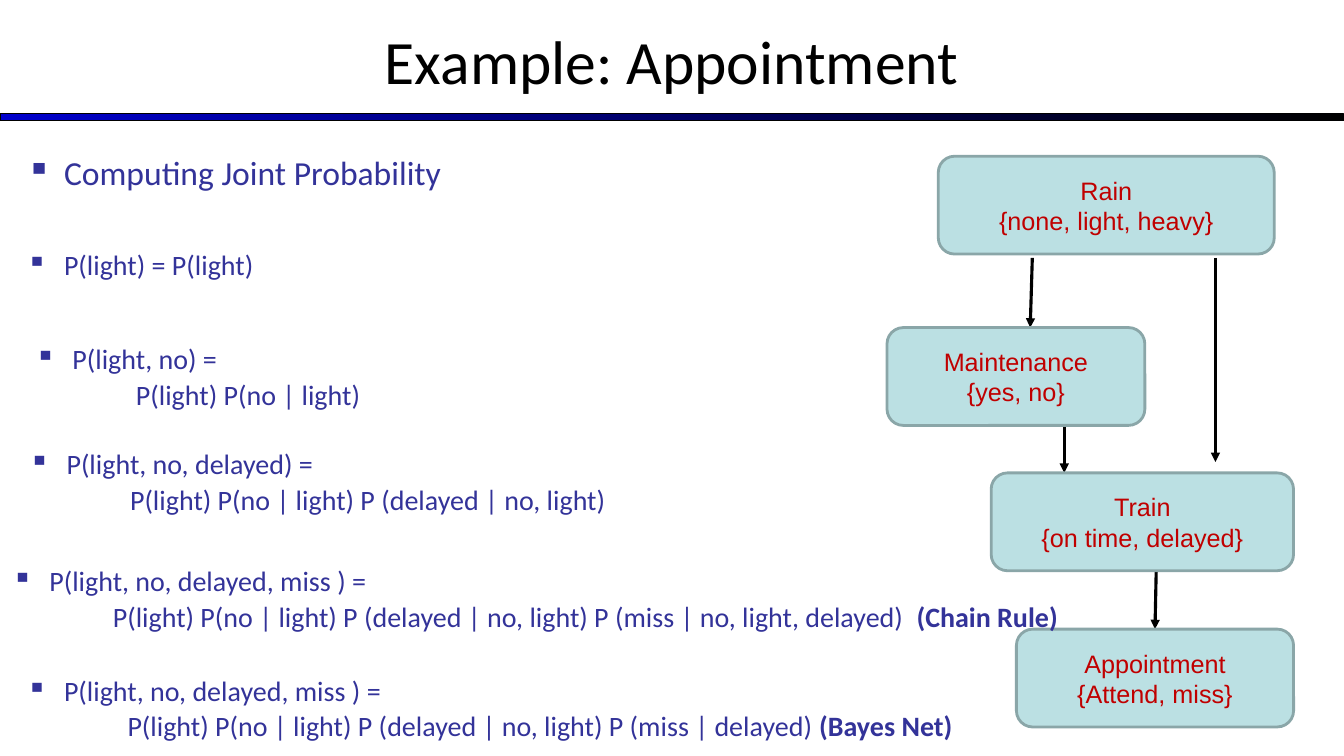
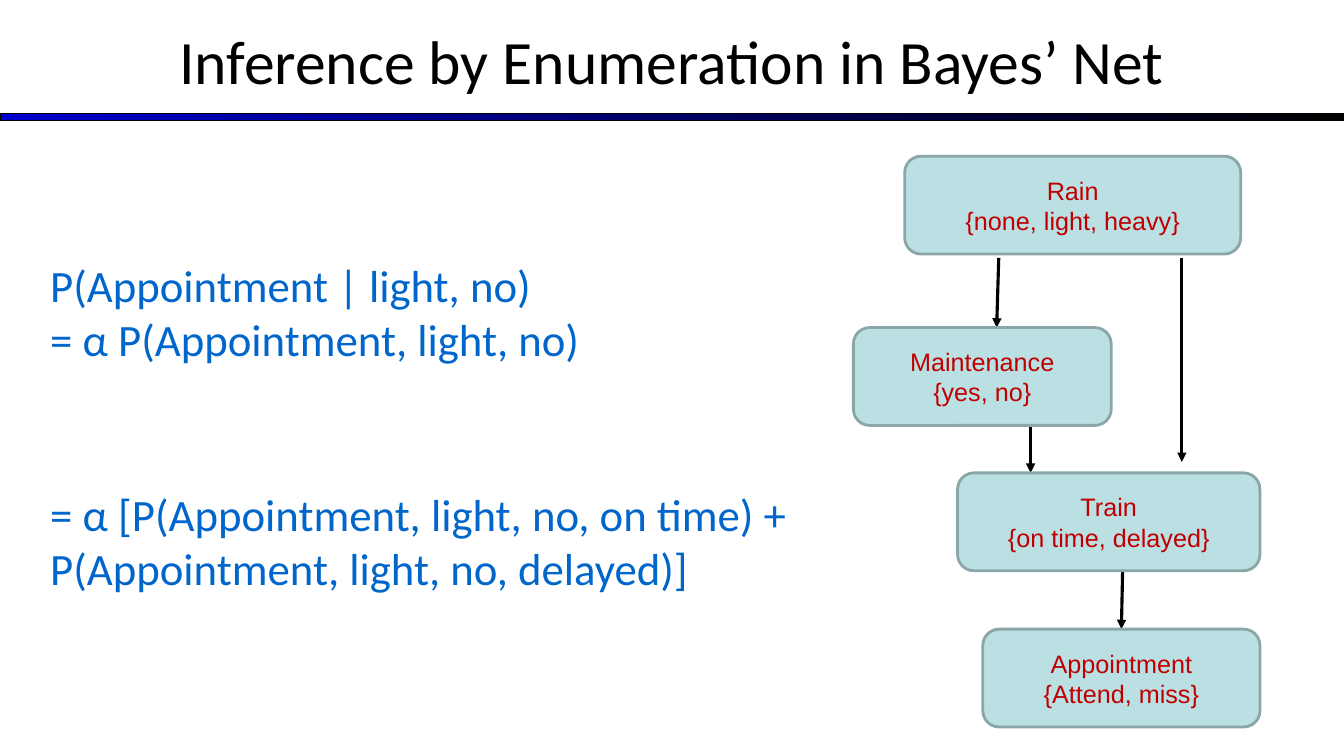
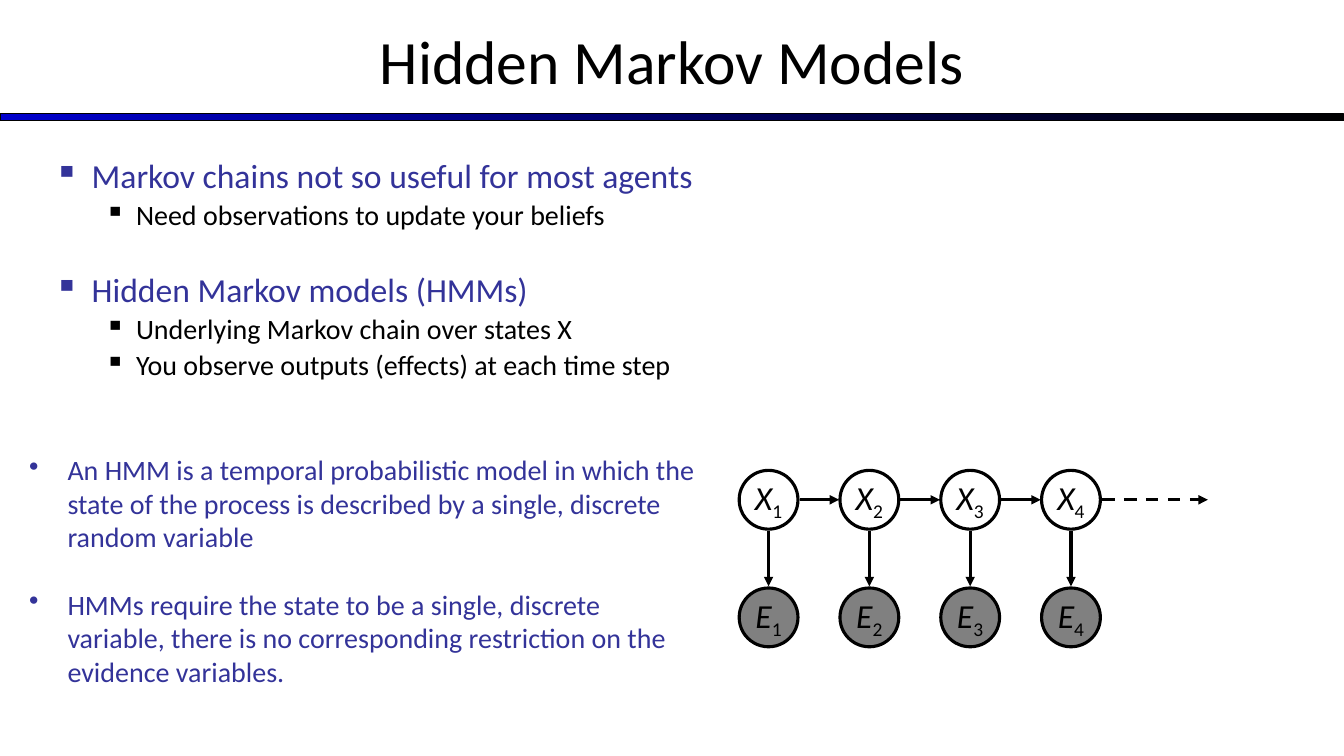
from lxml.etree import SubElement
from pptx import Presentation
from pptx.dml.color import RGBColor
from pptx.enum.dml import MSO_LINE
from pptx.enum.shapes import MSO_CONNECTOR, MSO_SHAPE
from pptx.enum.text import MSO_ANCHOR, PP_ALIGN
from pptx.oxml.ns import qn
from pptx.util import Inches, Pt

COLS, ROWS = 160, 90
CELL = Inches(1) / 12

HUE = {
    "black": "000000", "white": "FFFFFF", "grey": "808080",
    "band": "0000CC", "ink": "333399", "blue": "0066CC",
    "red": "C00000", "pale": "BBE0E3", "edge": "8AA6A8",
}
RGB = {name: RGBColor.from_string(code) for name, code in HUE.items()}

# font, size, colour, bullet, left and hanging indent in inches, line spacing, space before
STYLE = {
    "title": ("Calibri", 44, "black", None, 0, 0, 1, 0),
    "node": ("Arial", 18, "red", None, 0, 0, 1, 0),
    "state": ("Calibri", 24, "black", None, 0, 0, 1, 0),
    "head": ("Calibri", 24, "ink", "▪", 0.37, 0.37, 0.9, 5),
    "sub": ("Calibri", 20, "black", "▪", 0.81, 0.31, 0.9, 4),
    "step": ("Calibri", 20, "ink", "▪", 0.37, 0.37, 0.9, 4),
    "work": ("Calibri", 20, "ink", None, 1, 0, 0.9, 4),
    "math": ("Calibri", 32, "blue", None, 0, 0, 1, 0),
    "note": ("Calibri", 20, "ink", "•", 0.38, 0.38, 1, 0),
}
CENTRED = ("title", "node", "state")


def draw(slide, at, rows, kind=None, fill="white", edge="black", width=2.25):
    """Add a shape, or a text box if no kind is given; rows are (style, text[, space before])."""
    place = [round(n * CELL) for n in at]
    if kind is None:
        shape = slide.shapes.add_textbox(*place)
    else:
        shape = slide.shapes.add_shape(kind, *place)
        shape.shadow.inherit = False
        shape.fill.solid()
        shape.fill.fore_color.rgb = RGB[fill]
        shape.line.color.rgb = RGB[edge]
        shape.line.width = Pt(width)
    frame = shape.text_frame
    frame.word_wrap = True
    for i, (style, text, *gap) in enumerate(rows):
        font, size, hue, mark, left, hang, lead, before = STYLE[style]
        para = frame.paragraphs[0] if i == 0 else frame.add_paragraph()
        para.add_run().text = text
        para.line_spacing = lead
        if i:
            para.space_before = Pt(gap[0] if gap else before)
        if style in CENTRED:
            para.alignment = PP_ALIGN.CENTER
            frame.vertical_anchor = MSO_ANCHOR.MIDDLE
        props = para._p.get_or_add_pPr()
        props.set("marL", str(Inches(left)))
        props.set("indent", str(-Inches(hang)))
        if mark:
            tint = SubElement(props, qn("a:buClr"))
            SubElement(tint, qn("a:srgbClr"), val=HUE[hue])
            SubElement(props, qn("a:buChar"), char=mark)
        para.font.name = font
        para.font.size = Pt(size)
        para.font.color.rgb = RGB[hue]
    return shape


def link(slide, *ends, dash=False):
    """Add an arrow from the first point to the second."""
    line = slide.shapes.add_connector(MSO_CONNECTOR.STRAIGHT, *[round(n * CELL) for n in ends])
    line.line.color.rgb = RGB["black"]
    line.line.width = Pt(2.25)
    if dash:
        line.line.dash_style = MSO_LINE.DASH
    SubElement(line.line._get_or_add_ln(), qn("a:tailEnd"), type="triangle")
    SubElement(line._element.spPr, qn("a:effectLst"))


deck = Presentation()
deck.slide_width = round(COLS * CELL)
deck.slide_height = round(ROWS * CELL)

# Title and band of every slide
slides = []
for title in ("Example: Appointment", "Inference by Enumeration in Bayes’ Net", "Hidden Markov Models"):
    slide = deck.slides.add_slide(deck.slide_layouts[6])
    band = draw(slide, (0, 13.55, COLS, 0.85), [], MSO_SHAPE.RECTANGLE, width=0.75)
    band.fill.gradient()
    band.fill.gradient_angle = 0
    for stop, hue in zip(band.fill.gradient_stops, ("band", "black")):
        stop.color.rgb = RGB[hue]
    draw(slide, (0, -0.35, COLS, 15), [("title", title)])
    slides.append(slide)
joint, infer, hidden = slides

# Bayes net, four columns further left on the second slide
arrows = [
    (144.7, 30.7, 144.7, 55),
    (126.7, 50.65, 126.7, 56.3),
    (122.9, 30.7, 122.65, 39),
    (137.65, 67.95, 137.5, 74.9),
]
nodes = [
    (111.7, 18.6, 40, "Rain", "{none, light, heavy}"),
    (105.6, 39, 30.7, "Maintenance", "{yes, no}"),
    (118, 56.3, 36, "Train", "{on time, delayed}"),
    (121, 74.9, 33, "Appointment", "{Attend, miss}"),
]
for slide, shift in ((joint, 0), (infer, 4)):
    for x, y, to_x, to_y in arrows:
        link(slide, x - shift, y, to_x - shift, to_y)
    for x, y, wide, name, values in nodes:
        draw(slide, (x - shift, y, wide, 11.65), [("node", name), ("node", values)],
             MSO_SHAPE.ROUNDED_RECTANGLE, "pale", "edge", 2)

# Joint probability, step by step
steps = [
    (2, 18, 80, [("head", "Computing Joint Probability")], ""),
    (2, 29.3, 68, [("step", "P(light) = P(light)")], ""),
    (3, 40.55, 68, [("step", "P(light, no) ="), ("work", "P(light) P(no | light)")], ""),
    (2.3, 53, 98, [("step", "P(light, no, delayed) ="),
                   ("work", "P(light) P(no | light) P (delayed | no, light)")], ""),
    (0.25, 67, 148.7, [("step", "P(light, no, delayed, miss ) ="),
                       ("work", "P(light) P(no | light) P (delayed | no, light) "
                                "P (miss | no, light, delayed)  ")], "(Chain Rule)"),
    (2, 80, 148.7, [("step", "P(light, no, delayed, miss ) ="),
                    ("work", "P(light) P(no | light) P (delayed | no, light) "
                             "P (miss | delayed) ")], "(Bayes Net)"),
]
for x, y, wide, rows, rule in steps:
    box = draw(joint, (x, y, wide, 7), rows)
    if rule:
        run = box.text_frame.paragraphs[-1].add_run()
        run.text = rule
        run.font.bold = True

# Inference by enumeration
draw(infer, (4.8, 30.1, 92, 41.6), [
    ("math", "P(Appointment | light, no)"),
    ("math", "= α P(Appointment, light, no)"),
    ("math", "= α [P(Appointment, light, no, on time) + P(Appointment, light, no, delayed)]", 87),
])

# Hidden Markov models
draw(hidden, (5.3, 18.35, 149.3, 62), [
    ("head", "Markov chains not so useful for most agents"),
    ("sub", "Need observations to update your beliefs"),
    ("head", "Hidden Markov models (HMMs)", 30),
    ("sub", "Underlying Markov chain over states X"),
    ("sub", "You observe outputs (effects) at each time step"),
])
draw(hidden, (2.3, 53.3, 82.1, 29.5), [
    ("note", "An HMM is a temporal probabilistic model in which the state of the process "
             "is described by a single, discrete random variable"),
    ("note", "HMMs require the state to be a single, discrete variable, there is no "
             "corresponding restriction on the evidence variables.", 24),
])

SIZE, PITCH, LEFT = 7, 12, 88
COUNT = 4
for i in range(COUNT):
    x = LEFT + i * PITCH
    mid = x + SIZE / 2
    last = i == COUNT - 1
    for sign, y, fill in (("X", 56, "white"), ("E", 70, "grey")):
        ball = draw(hidden, (x, y, SIZE, SIZE), [("state", sign)], MSO_SHAPE.OVAL, fill)
        ball.text_frame.word_wrap = False
        para = ball.text_frame.paragraphs[0]
        para.runs[0].font.italic = True
        index = para.add_run()
        index.text = str(i + 1)
        index._r.get_or_add_rPr().set("baseline", "-25000")
    link(hidden, mid, 63.2, mid, 69.8)
    link(hidden, x + 7.2, 59.5, x + (19.8 if last else 11.9), 59.5, dash=last)

deck.save("out.pptx")
